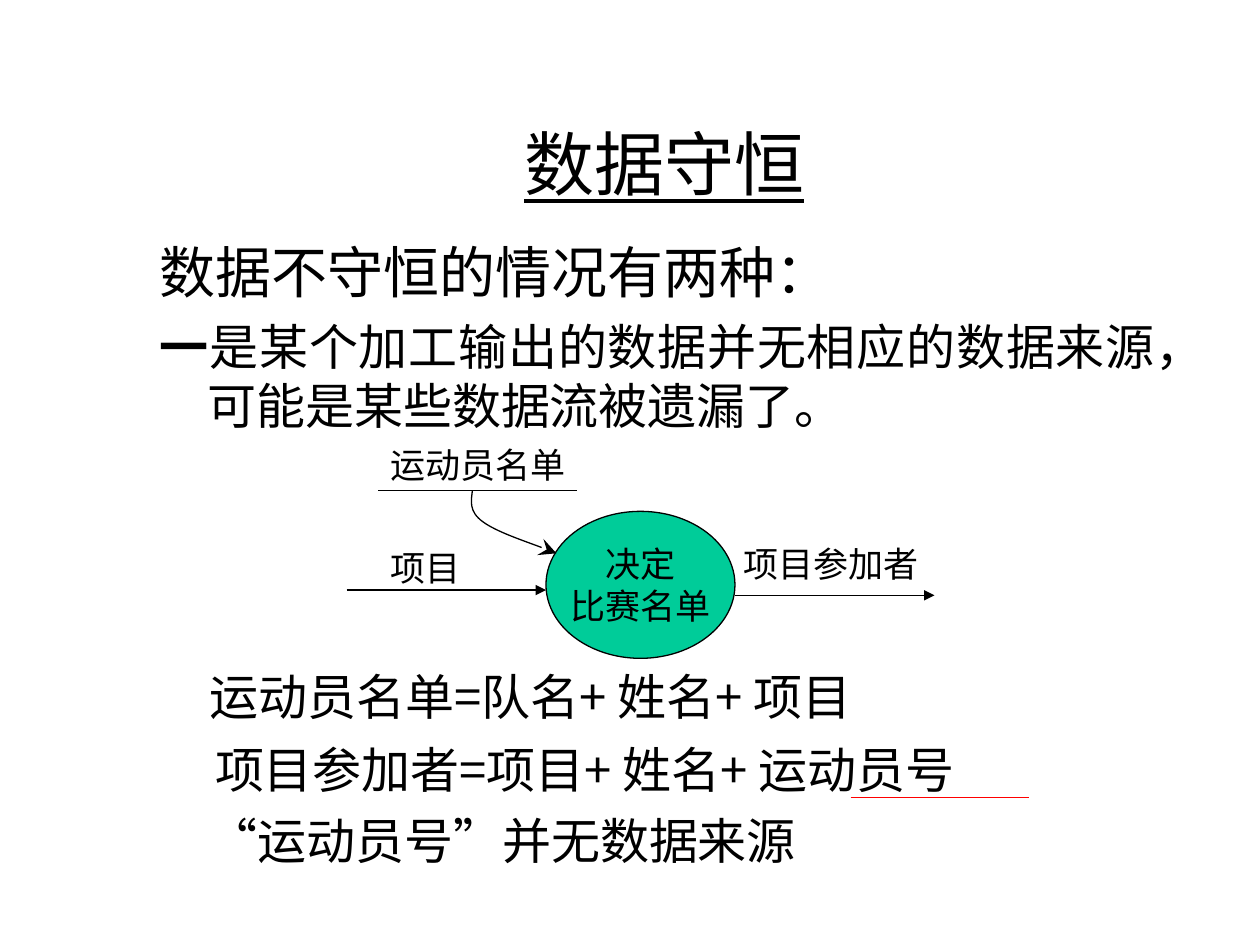
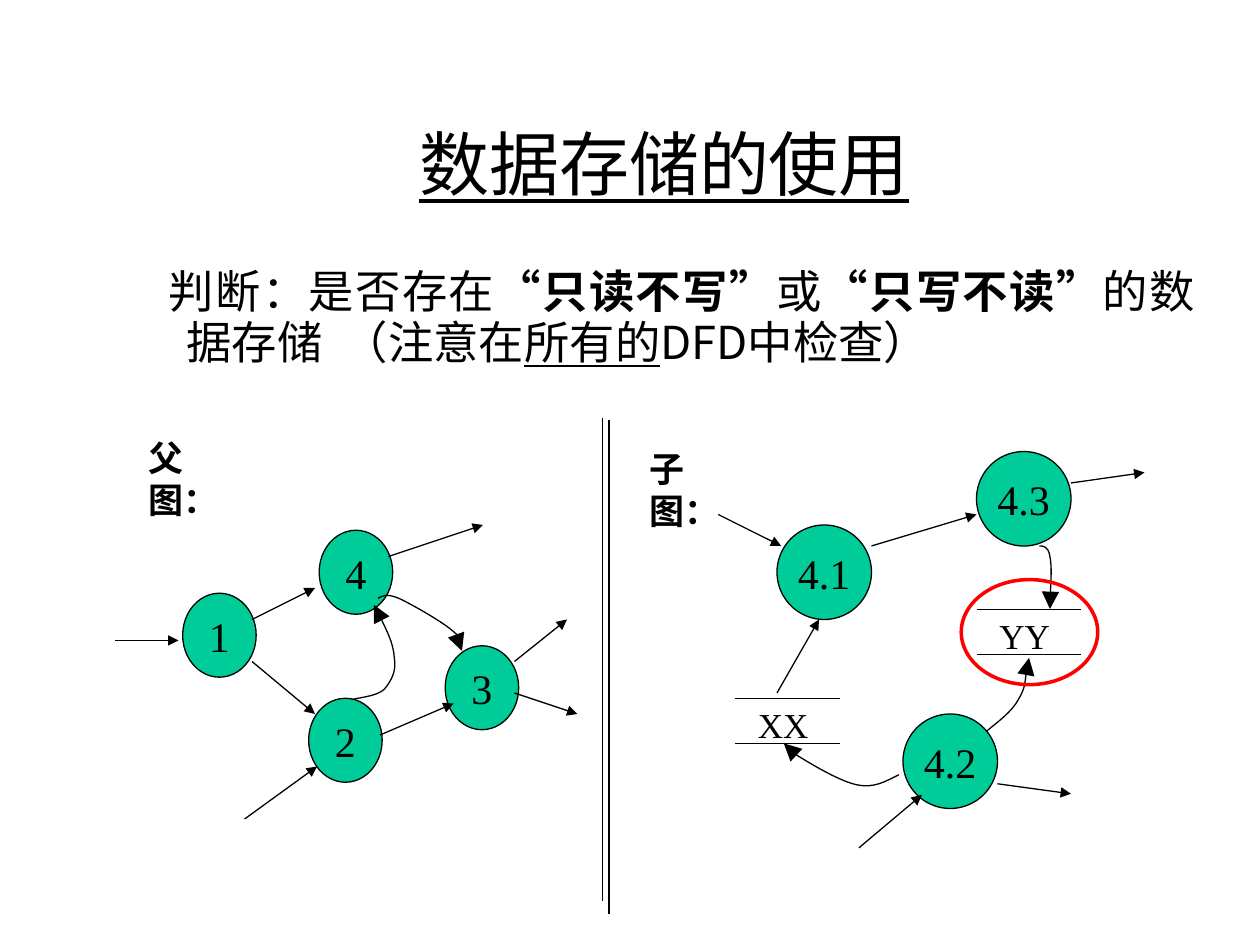
from collections import namedtuple
from dataclasses import dataclass

from lxml import etree
from pptx import Presentation
from pptx.dml.color import RGBColor
from pptx.enum.shapes import MSO_CONNECTOR, MSO_SHAPE
from pptx.enum.text import MSO_ANCHOR, MSO_AUTO_SIZE, PP_ALIGN
from pptx.oxml.ns import qn
from pptx.util import Inches, Pt

STRAIGHT = MSO_CONNECTOR.STRAIGHT
NODE, RING = MSO_SHAPE.FLOWCHART_CONNECTOR, MSO_SHAPE.OVAL
TOP, MIDDLE = MSO_ANCHOR.TOP, MSO_ANCHOR.MIDDLE
LEFT, CENTER, JUSTIFY = PP_ALIGN.LEFT, PP_ALIGN.CENTER, PP_ALIGN.JUSTIFY

# The slide is a grid of 120 columns by 90 rows
SLIDE_W, SLIDE_H = Inches(10), Inches(7.5)
COLS, ROWS = 120, 90
HANG = 0.38  # hanging indent of body text, inches

Box = namedtuple("Box", "x y w h")


@dataclass(frozen=True)
class Theme:
    ink: RGBColor = RGBColor(0, 0, 0)
    node: RGBColor = RGBColor(0x00, 0xCC, 0x99)
    alert: RGBColor = RGBColor(0xFF, 0, 0)
    serif: str = "Times New Roman"
    sans: str = "Noto Sans CJK SC"
    title: float = 40
    lead: float = 32
    body: float = 28
    question: float = 25.9
    node_id: float = 24
    label: float = 20
    leading: float = 1.2
    thin: float = 0.75
    thick: float = 2


T = Theme()
TITLE_BOX = Box(15.85, 8, 94.8, 15)


# Grid helpers
def col(n):
    return round(SLIDE_W * n / COLS)


def row(n):
    return round(SLIDE_H * n / ROWS)


def point(box, x, y):
    return col(box.x + x), row(box.y + y)


def inside(box, x, y, w, h):
    return Box(box.x + x, box.y + y, w, h)


def place(sp, box):
    sp.left, sp.top, sp.width, sp.height = col(box.x), row(box.y), col(box.w), row(box.h)


# Text
def add_text(p, text, size=T.label, font=T.serif, bold=False, underline=False, spacing=0):
    r = p.add_run()
    r.text = text
    f = r.font
    f.size, f.name, f.bold, f.underline = Pt(size), font, bold, underline
    f.color.rgb = T.ink
    rPr = r._r.get_or_add_rPr()
    etree.SubElement(rPr, qn("a:ea")).set("typeface", T.sans)
    if spacing:
        rPr.set("spc", str(round(spacing * 100)))


def format_paragraph(p, size, align=LEFT, before=0, leading=None):
    p.alignment = align
    p.space_before = Pt(before)
    p.line_spacing = Pt(leading or size * T.leading)


def set_indent(p, margin, first=0.0):
    pPr = p._p.get_or_add_pPr()
    pPr.set("marL", str(Inches(margin)))
    pPr.set("indent", str(Inches(first)))
    etree.SubElement(pPr, qn("a:buNone"))


def prepare_frame(tf, anchor=TOP, wrap=True):
    tf.auto_size = MSO_AUTO_SIZE.NONE
    tf.word_wrap = wrap
    tf.vertical_anchor = anchor


def fill_lines(tf, lines, size, align=LEFT, **fmt):
    for i, line in enumerate(lines):
        p = tf.add_paragraph() if i else tf.paragraphs[0]
        format_paragraph(p, size, align)
        p._p.get_or_add_pPr().set("hangingPunct", "0")
        add_text(p, line, size=size, **fmt)


def add_label(slide, box, text, **fmt):
    sp = slide.shapes.add_textbox(0, 0, 0, 0)
    place(sp, box)
    prepare_frame(sp.text_frame)
    fill_lines(sp.text_frame, [text], T.label, **fmt)


def add_title(slide, text, font):
    sp = slide.shapes.title
    place(sp, TITLE_BOX)
    prepare_frame(sp.text_frame, MIDDLE)
    fill_lines(sp.text_frame, [text], T.title, CENTER, font=font, underline=True)


def add_body(slide, box, paragraphs):
    """Each paragraph: its runs, margin, first-line indent and spacing."""
    sp = slide.placeholders[1]
    place(sp, box)
    tf = sp.text_frame
    prepare_frame(tf)
    for i, (runs, margin, first, spacing) in enumerate(paragraphs):
        p = tf.add_paragraph() if i else tf.paragraphs[0]
        format_paragraph(p, align=JUSTIFY, **spacing)
        set_indent(p, margin, first)
        for text, fmt in runs:
            add_text(p, text, **{"size": spacing["size"], "font": T.sans, **fmt})


# Lines and nodes
def style_line(sp, color=T.ink, width=T.thin, head=None, head_size="med"):
    sp.line.color.rgb = color
    sp.line.width = Pt(width)
    if head:
        end = etree.SubElement(sp.line._get_or_add_ln(), qn("a:tailEnd"))
        for key, value in (("type", head), ("w", head_size), ("len", head_size)):
            end.set(key, value)


def add_line(slide, box, x1, y1, x2, y2, **style):
    sp = slide.shapes.add_connector(STRAIGHT, *point(box, x1, y1), *point(box, x2, y2))
    style_line(sp, **style)
    etree.SubElement(sp._element.spPr, qn("a:effectLst"))


def add_arrows(slide, box, ends):
    for end in ends:
        add_line(slide, box, *end, head="triangle")


def add_curve(slide, box, knots, head="triangle"):
    """Arrow along joined cubic curves; every third knot is on the path."""
    builder = slide.shapes.build_freeform(*point(box, *knots[0]))
    builder.add_line_segments([point(box, *k) for k in knots[1:]], close=False)
    sp = builder.convert_to_shape()
    # Turn each three straight segments into one cubic curve
    outline = next(sp._element.iter(qn("a:moveTo"))).getparent()
    segments = outline.findall(qn("a:lnTo"))
    for i in range(0, len(segments), 3):
        curve = etree.SubElement(outline, qn("a:cubicBezTo"))
        for segment in segments[i:i + 3]:
            curve.append(segment[0])
            outline.remove(segment)
    sp.shadow.inherit = False
    sp.fill.background()
    style_line(sp, head=head, head_size="lg")


def add_node(slide, box, lines, size=T.node_id):
    sp = slide.shapes.add_shape(NODE, 0, 0, 0, 0)
    place(sp, box)
    sp.shadow.inherit = False
    sp.fill.solid()
    sp.fill.fore_color.rgb = T.node
    style_line(sp)
    prepare_frame(sp.text_frame, MIDDLE, wrap=False)
    fill_lines(sp.text_frame, lines, size, CENTER)


def add_store(slide, box, name):
    for y in (0, box.h):
        add_line(slide, box, 0, y, box.w, y)
    add_label(slide, inside(box, 1, -0.1, 9, 5.25), name)


# Regions
def draw_roster_flow(slide, box):
    add_node(slide, inside(box, 19, 7.7, 18, 14), ["决定", "比赛名单"], T.label)
    add_line(slide, box, 3, 5.7, 22, 5.7)
    add_arrows(slide, box, [(0, 15.2, 19, 15.2), (37, 15.7, 56, 15.7)])
    for x, y, w, text in [(3, 0.65, 20, "运动员名单"), (36.6, 10.1, 20, "项目参加者"),
                          (3, 10.45, 10, "项目")]:
        add_label(slide, inside(box, x, y, w, 5.25), text)
    add_curve(slide, box, [(12, 5.7), (11.9, 6.65), (11.6, 7.7), (13, 8.7),
                           (14.3, 9.65), (18.85, 11.2), (20, 11.7)], head="stealth")


def draw_parent_diagram(slide, box):
    add_label(slide, inside(box, 2, 0, 11, 5.25), "父图：", bold=True)
    for x, y, name in [(6.4, 15.5, "1"), (19.4, 9.5, "4"),
                       (18.4, 25.5, "2"), (31.4, 20.5, "3")]:
        add_node(slide, inside(box, x, y, 7, 8), [name])
    add_arrows(slide, box, [
        (0, 20, 6, 20), (12.3, 37, 19.2, 32), (25.2, 29, 32.2, 26), (38, 22, 43, 18),
        (38, 25, 44, 27), (26, 12, 35, 9), (13, 18, 19, 15), (13, 22, 19, 27)])
    # 4 to 3, then 2 to 4
    add_curve(slide, box, [(25, 16), (25.4, 15.75), (25.85, 15.5), (27, 16), (28.1, 16.5),
                           (31, 18.15), (32, 19), (33, 19.85), (32.8, 20.7), (33, 21)])
    add_curve(slide, box, [(22.6, 25.6), (23.8, 25.35), (24.9, 25.25), (25.6, 24.65),
                           (26.2, 23.9), (26.8, 23), (26.55, 21.6), (26.45, 20.2),
                           (25.1, 17.45), (24.6, 16.6)])


def draw_child_diagram(slide, box):
    add_label(slide, inside(box, 0.7, 1, 11, 5.25), "子图：", bold=True)
    for x, y, name in [(14, 9, "4.1"), (33, 2, "4.3"), (26, 27, "4.2")]:
        add_node(slide, inside(box, x, y, 9, 9), [name])
    for x, y, name in [(10, 25.5, "XX"), (33, 17.05, "YY")]:
        add_store(slide, inside(box, x, y, 10, 4.3), name)
    add_arrows(slide, box, [
        (8.4, 8, 14.4, 11), (42, 5, 49, 4), (21.8, 39.75, 27.8, 34.7),
        (35, 33.65, 42, 34.6), (14, 25, 18, 18), (23, 11, 33, 8)])
    # 4.2 to YY, 4.3 to YY, 4.2 to XX
    add_curve(slide, box, [(34, 28.6), (35.15, 27.65), (36.35, 26.8), (37, 25.6),
                           (37.7, 24.4), (37.8, 22.25), (38, 21.65)])
    add_curve(slide, box, [(39, 11), (39.35, 11), (39.85, 11), (40, 12),
                           (40.2, 13), (40, 16.1), (40, 17)])
    add_curve(slide, box, [(25.6, 32.8), (24.35, 33.4), (23.3, 34.1), (21.6, 33.75),
                           (19.9, 33.4), (16.8, 31.5), (15.6, 30.75), (14.4, 30.15),
                           (14.75, 29.9), (14.65, 29.8)])
    # Store that is written but never read
    ring = slide.shapes.add_shape(RING, 0, 0, 0, 0)
    place(ring, inside(box, 31.55, 14.2, 13, 10))
    ring.shadow.inherit = False
    ring.fill.background()
    style_line(ring, T.alert, T.thick)


# Slides
def build_conservation(slide):
    add_title(slide, "数据守恒", T.serif)
    quote = {"font": T.serif}
    line = {"size": T.body, "before": 7}
    after_diagram = {"size": T.body, "before": 132.6}
    add_body(slide, Box(14, 22, 102, 64), [
        ([("数据不守恒的情况有两种：", {})], HANG, -HANG, {"size": T.lead, "before": 8}),
        ([("一", {"bold": True}),
          ("是某个加工输出的数据并无相应的数据来源，可能是某些数据流被遗漏了。", {})],
         HANG, -HANG, line),
        ([("运动员名单=队名+ 姓名+ 项目", {})], 0.4, 0, after_diagram),
        ([("项目参加者=项目+ 姓名+ 运动员号", {})], 0.44, 0, {"size": T.body, "before": 8.3}),
        ([("“", quote), ("运动员号", {}), ("”", quote), ("并无数据来源", {})], 0.39, 0, line),
    ])
    draw_roster_flow(slide, Box(33, 41, 56, 22))
    add_line(slide, Box(81, 75.96, 17, 0), 0, 0, 17, 0, color=T.alert)


def build_store_usage(slide):
    add_title(slide, "数据存储的使用", T.sans)
    strong, quote = {"bold": True}, {"bold": True, "font": T.serif}
    runs = [("判断：是否存在", {}),
            ("“", quote), ("只读不写", strong), ("”", quote), ("或", {}),
            ("“", quote), ("只写不读", strong), ("”", quote),
            ("的数据存储", {}), (" ", {"spacing": 5.8}), ("（注意在", {}),
            ("所有的", {"underline": True}), ("DFD中检查）", {})]
    add_body(slide, Box(12, 24.8, 103, 16), [
        (runs, HANG, -0.14, {"size": T.question, "before": 7, "leading": 29.1})])
    # Double divider between the diagrams
    divider = Box(57.35, 39.85, 0.65, 47.15)
    add_line(slide, divider, 0.65, 0.15, 0.65, 47.15)
    add_line(slide, divider, 0, 0, 0, 45.95)
    draw_parent_diagram(slide, Box(11, 41, 44, 37))
    draw_child_diagram(slide, Box(60, 41, 49, 40))


def main():
    prs = Presentation()
    prs.slide_width, prs.slide_height = SLIDE_W, SLIDE_H
    for build in (build_conservation, build_store_usage):
        build(prs.slides.add_slide(prs.slide_layouts[1]))
    prs.save("out.pptx")


if __name__ == "__main__":
    main()
